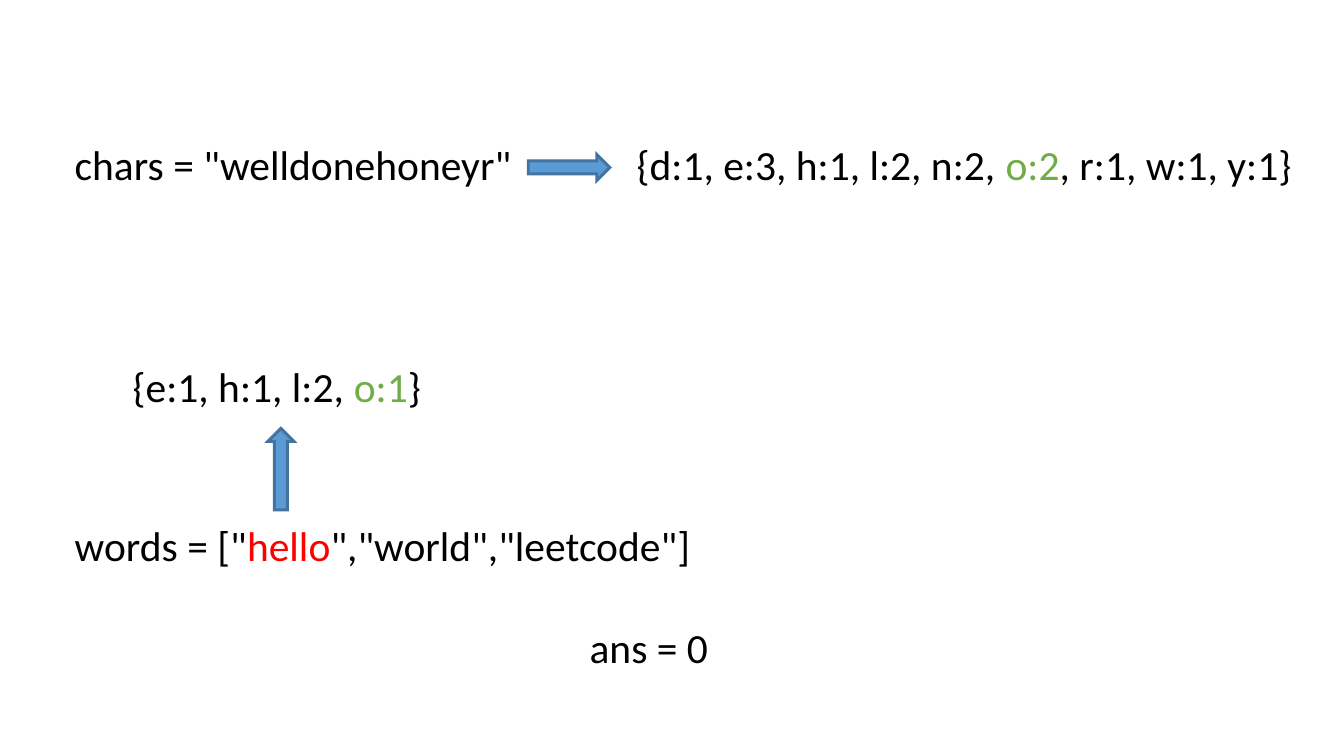
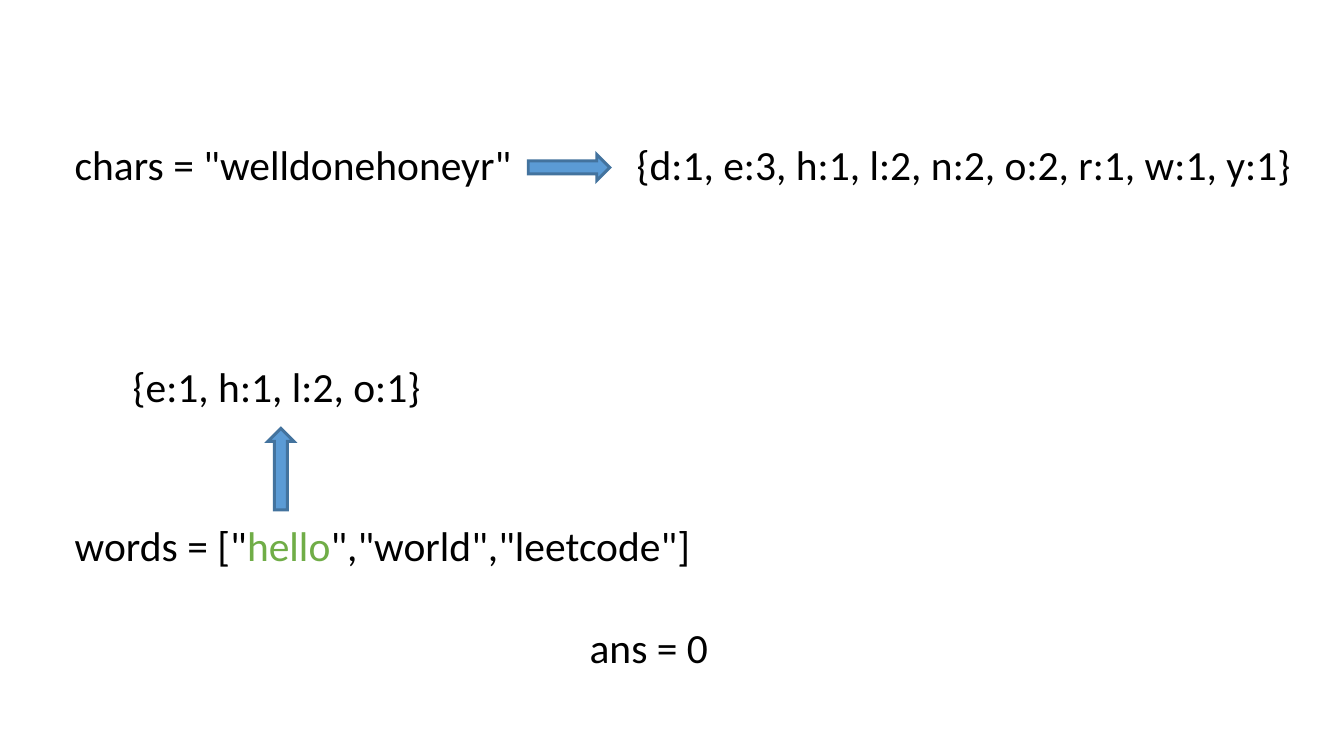
from lxml.etree import SubElement
from pptx import Presentation
from pptx.dml.color import RGBColor
from pptx.enum.shapes import MSO_SHAPE as Shape
from pptx.enum.text import MSO_AUTO_SIZE as Fit
from pptx.oxml.ns import qn
from pptx.util import Cm, Pt

WIDTH, HEIGHT = 16, 9
LEFT, TOP, ROW = 0.64, 1.53, 0.86
COLORS = {"text": "000000", "match": "70AD47", "fail": "FF0000",
          "arrow": "5B9BD5", "edge": "43739E"}


def rgb(name):
    return RGBColor.from_string(COLORS[name])


def add_text(slide, left, top, width, *parts):
    """Add one line; each part is a string or a (string, colour name) pair."""
    box = slide.shapes.add_textbox(Cm(left), Cm(top), Cm(width), Cm(ROW))
    frame = box.text_frame
    frame.word_wrap = True
    frame.auto_size = Fit.SHAPE_TO_FIT_TEXT
    line = frame.paragraphs[0]
    for part in parts:
        text, color = (part, "text") if isinstance(part, str) else part
        run = line.add_run()
        run.text = text
        run.font.color.rgb = rgb(color)
    line.font.name = "Calibri"
    line.font.size = Pt(14)


def add_arrow(slide, left, top, angle=0):
    arrow = slide.shapes.add_shape(
        Shape.RIGHT_ARROW, Cm(left), Cm(top), Cm(0.97), Cm(0.31))
    arrow.rotation = angle
    arrow.shadow.inherit = False
    arrow.fill.solid()
    arrow.fill.fore_color.rgb = rgb("arrow")
    arrow.line.color.rgb = rgb("edge")
    arrow.line.width = Pt(1)
    edge = arrow.element.spPr.find(qn("a:ln"))
    SubElement(edge, qn("a:miter"), lim="800000")


def add_step(deck, letter, word):
    """Add a slide, with the colours of the letter counts and of the word."""
    slide = deck.slides.add_slide(deck.slide_layouts[6])
    add_text(slide, LEFT, TOP, 5.79, 'chars = "welldonehoneyr"')
    add_arrow(slide, 6.29, 1.84)
    add_text(slide, 7.33, TOP, 8.43, "{d:1, e:3, h:1, l:2, n:2, ",
             ("o:2", letter), ", r:1, w:1, y:1}")
    add_text(slide, 6.77, 7.28, 2.26, "ans = 0")
    add_text(slide, LEFT, 6.07, 9.04, 'words = ["', ("hello", word),
             '","world","leetcode"]')
    add_arrow(slide, 2.86, 5.43, 270)
    add_text(slide, 1.33, 4.17, 4.04, "{e:1, h:1, l:2, ", ("o:1", letter), "}")


def main():
    deck = Presentation()
    deck.slide_width, deck.slide_height = Cm(WIDTH), Cm(HEIGHT)
    add_step(deck, letter="match", word="fail")
    add_step(deck, letter="text", word="match")
    deck.save("out.pptx")


if __name__ == "__main__":
    main()
